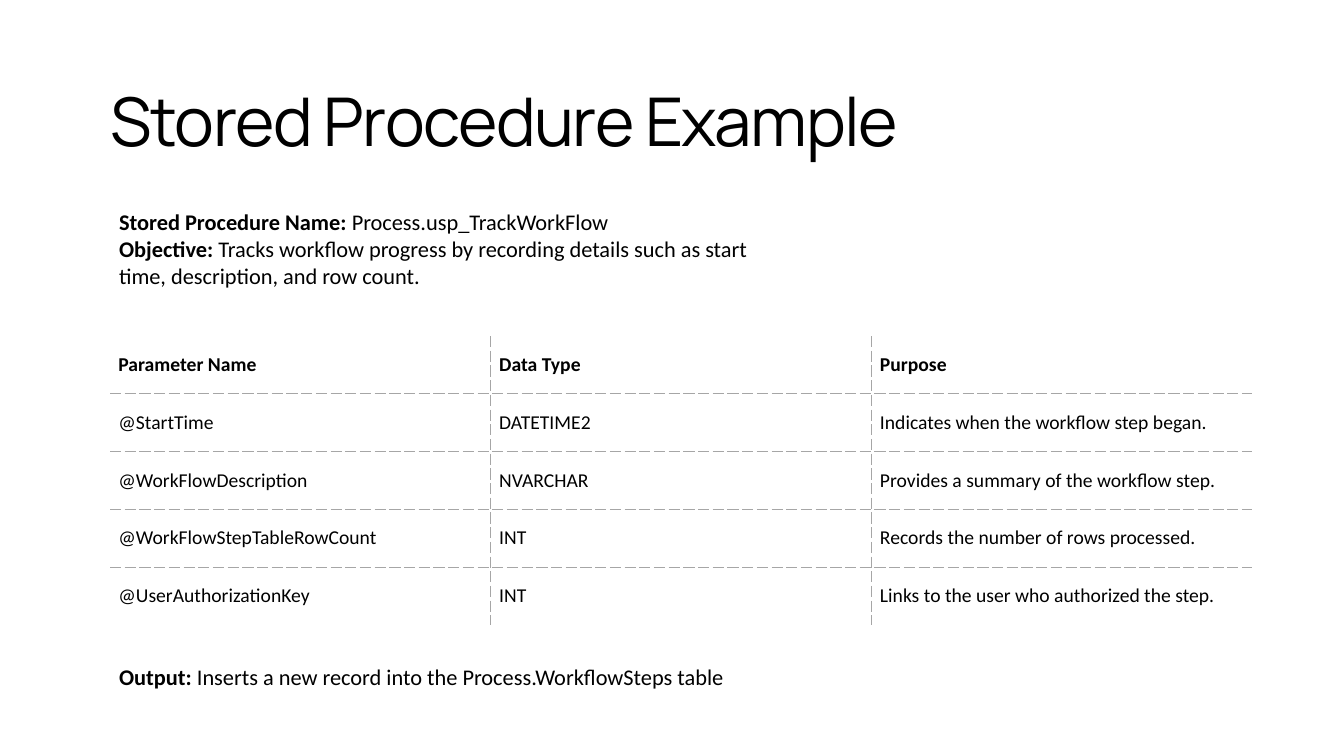
from lxml import etree
from pptx import Presentation
from pptx.dml.color import RGBColor
from pptx.enum.text import MSO_ANCHOR
from pptx.oxml.ns import qn
from pptx.util import Pt

TOP = MSO_ANCHOR.TOP
MIDDLE = MSO_ANCHOR.MIDDLE
BLACK = RGBColor(0x00, 0x00, 0x00)
GRID_GRAY = RGBColor(0xA6, 0xA6, 0xA6)

PARAMETERS = [
    ("Parameter Name", "Data Type", "Purpose"),
    ("@StartTime", "DATETIME2", "Indicates when the workflow step began."),
    ("@WorkFlowDescription", "NVARCHAR", "Provides a summary of the workflow step."),
    ("@WorkFlowStepTableRowCount", "INT", "Records the number of rows processed."),
    ("@UserAuthorizationKey", "INT", "Links to the user who authorized the step."),
]
SUMMARY = [
    ("Stored Procedure Name: ", "Process.usp_TrackWorkFlow"),
    ("Objective:", " Tracks workflow progress by recording details such as start "
                   "time, description, and row count."),
]
OUTPUT = [("Output: ", "Inserts a new record into the Process.WorkflowSteps table")]


class SlideBuilder:
    """Holds the text style and the slide, and adds each kind of element."""

    heading_font = "Manrope"
    body_font = "Calibri"

    def __init__(self, slide):
        self.slide = slide

    def style_run(self, run, size, name, bold=False):
        run.font.size = Pt(size)
        run.font.name = name
        run.font.bold = bold
        run.font.color.rgb = BLACK

    def text_frame(self, left, top, width, height, anchor):
        shape = self.slide.shapes.add_textbox(Pt(left), Pt(top), Pt(width), Pt(height))
        frame = shape.text_frame
        frame.word_wrap = True
        frame.vertical_anchor = anchor
        return frame

    def title(self, text, left, top, width, height):
        frame = self.text_frame(left, top, width, height, TOP)
        frame.text = text
        paragraph = frame.paragraphs[0]
        paragraph.line_spacing = 0.95
        run = paragraph.runs[0]
        self.style_run(run, 48, self.heading_font)
        run.font._element.set("spc", "-100")

    def labelled_text(self, lines, left, top, width, height):
        frame = self.text_frame(left, top, width, height, MIDDLE)
        for index, line in enumerate(lines):
            paragraph = frame.add_paragraph() if index else frame.paragraphs[0]
            for text, bold in zip(line, (True, False)):
                run = paragraph.add_run()
                run.text = text
                self.style_run(run, 16, self.body_font, bold)

    def border(self, cell, side, visible):
        properties = cell._tc.get_or_add_tcPr()
        line = etree.SubElement(properties, qn(f"a:ln{side}"), w=str(Pt(1) if visible else 0))
        if not visible:
            etree.SubElement(line, qn("a:noFill"))
            return
        fill = etree.SubElement(line, qn("a:solidFill"))
        etree.SubElement(fill, qn("a:srgbClr"), val=str(GRID_GRAY))
        etree.SubElement(line, qn("a:prstDash"), val="sysDash")

    def table(self, rows, left, top, width, height):
        last_row, last_column = len(rows) - 1, len(rows[0]) - 1
        frame = self.slide.shapes.add_table(
            len(rows), len(rows[0]), Pt(left), Pt(top), Pt(width), Pt(height))
        table = frame.table
        table.first_row = False
        table.horz_banding = False
        for row, texts in enumerate(rows):
            for column, text in enumerate(texts):
                cell = table.cell(row, column)
                cell.text = text
                cell.vertical_anchor = MIDDLE
                cell.margin_left = cell.margin_right = Pt(6)
                cell.margin_top = cell.margin_bottom = Pt(6)
                run = cell.text_frame.paragraphs[0].runs[0]
                self.style_run(run, 14, self.body_font, row == 0)
                self.border(cell, "L", column > 0)
                self.border(cell, "R", column < last_column)
                self.border(cell, "T", row > 0)
                self.border(cell, "B", row < last_row)
                cell.fill.background()


def main():
    presentation = Presentation()
    presentation.slide_width = Pt(960)
    presentation.slide_height = Pt(540)
    builder = SlideBuilder(presentation.slides.add_slide(presentation.slide_layouts[6]))
    builder.table(PARAMETERS, 78.6, 240, 816, 206.5)
    builder.title("Stored Procedure Example", 72, 57, 822, 104)
    builder.labelled_text(SUMMARY, 78, 146.5, 475, 62)
    builder.labelled_text(OUTPUT, 78, 452.5, 475, 62)
    presentation.save("out.pptx")


if __name__ == "__main__":
    main()
